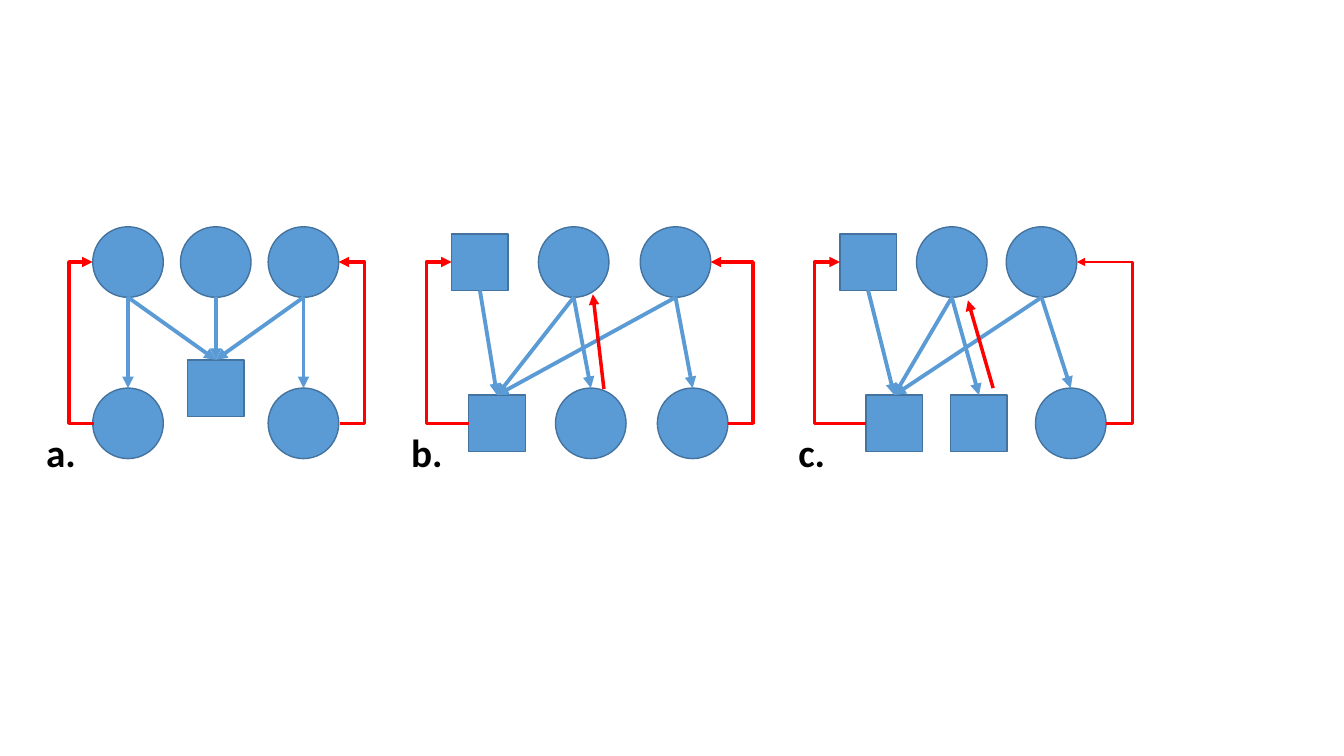
from dataclasses import dataclass
from lxml.etree import SubElement
from pptx import Presentation
from pptx.dml.color import RGBColor
from pptx.enum.shapes import MSO_CONNECTOR as Connector, MSO_SHAPE as Shape
from pptx.enum.text import MSO_AUTO_SIZE as AutoSize
from pptx.oxml.ns import qn
from pptx.util import Inches, Pt

BLUE, EDGE, RED, BLACK = "5B9BD5", "43739E", "FF0000", "000000"
SIZES = {"circle": 0.7, "square": 0.56}
FORMS = {"circle": Shape.OVAL, "square": Shape.RECTANGLE}
BACK_LINE = 2.5
STUB = 0.01


@dataclass
class Node:
    kind: str
    x: float
    y: float

    @property
    def half(self):
        return SIZES[self.kind] / 2


def color(value):
    return RGBColor.from_string(value)


def draw_node(page, node):
    size = SIZES[node.kind]
    shape = page.shapes.add_shape(
        FORMS[node.kind], Inches(node.x - node.half), Inches(node.y - node.half),
        Inches(size), Inches(size))
    shape.shadow.inherit = False
    shape.fill.solid()
    shape.fill.fore_color.rgb = color(BLUE)
    shape.line.color.rgb = color(EDGE)
    shape.line.width = Pt(1)


def draw_arrow(page, start, end, tint, weight, kind=Connector.STRAIGHT):
    arrow = page.shapes.add_connector(kind, *map(Inches, (*start, *end)))
    arrow.line.color.rgb = color(tint)
    arrow.line.width = Pt(weight)
    SubElement(arrow.line._get_or_add_ln(), qn("a:tailEnd"), type="triangle")
    SubElement(arrow._element.spPr, qn("a:effectLst"))
    return arrow


def draw_loop(page, lower, upper, side, bend, weight):
    start = lower.x + side * lower.half
    end = upper.x + side * upper.half
    if abs(start - end) < STUB:
        start = end + STUB
    arrow = draw_arrow(page, (start, lower.y), (end, upper.y), RED, weight, Connector.ELBOW)
    share = round((bend - start) / (end - start) * 100000)
    guides = arrow._element.spPr.find(qn("a:prstGeom")).get_or_add_avLst()
    SubElement(guides, qn("a:gd"), name="adj1", fmla=f"val {share}")


def draw_label(page, text, left, top, width):
    box = page.shapes.add_textbox(Inches(left), Inches(top), Inches(width), Inches(0.57))
    box.text_frame.word_wrap = False
    box.text_frame.auto_size = AutoSize.SHAPE_TO_FIT_TEXT
    run = box.text_frame.paragraphs[0].add_run()
    run.text = text
    run.font.name = "Calibri"
    run.font.size = Pt(28)
    run.font.bold = True
    run.font.color.rgb = color(BLACK)


def draw_panel(page, box, label, label_shift, label_width, upper, lower, links,
               feedback=None, right_weight=BACK_LINE):
    left, top, width, height = box
    upper = [Node(kind, left + x, top) for kind, x in upper]
    lower = [Node(kind, left + x, top + height - rise) for kind, x, rise in lower]
    for node in upper + lower:
        draw_node(page, node)
    for source, target in links:
        first, last = upper[source], lower[target]
        draw_arrow(page, (first.x, first.y + first.half),
                   (last.x, last.y - last.half), BLUE, 2.75)
    draw_loop(page, lower[0], upper[0], -1, left, BACK_LINE)
    draw_loop(page, lower[-1], upper[-1], 1, left + width, right_weight)
    if feedback:
        start, end = [(left + x, top + y) for x, y in feedback]
        draw_arrow(page, start, end, RED, BACK_LINE)
    draw_label(page, label, left + label_shift, top + height, label_width)


def main():
    deck = Presentation()
    deck.slide_width, deck.slide_height = Inches(13.33), Inches(7.5)
    page = deck.slides.add_slide(deck.slide_layouts[6])
    top, height = 2.6, 1.6
    crossing = [(0, 0), (1, 1), (1, 0), (2, 0), (2, 2)]

    draw_panel(
        page, (0.68, top, 2.94, height), "a.", -0.32, 0.5,
        [("circle", 0.59), ("circle", 1.46), ("circle", 2.33)],
        [("circle", 0.59, 0), ("square", 1.46, 0.35), ("circle", 2.33, 0)],
        [(1, 1), (0, 0), (0, 1), (2, 1), (2, 2)])
    draw_panel(
        page, (4.23, top, 3.24, height), "b.", -0.25, 0.53,
        [("square", 0.53), ("circle", 1.46), ("circle", 2.47)],
        [("square", 0.7, 0), ("circle", 1.63, 0), ("circle", 2.64, 0)],
        crossing, feedback=[(1.76, 1.26), (1.65, 0.32)])
    draw_panel(
        page, (8.08, top, 3.15, height), "c.", -0.26, 0.48,
        [("square", 0.53), ("circle", 1.36), ("circle", 2.25)],
        [("square", 0.79, 0), ("square", 1.63, 0), ("circle", 2.54, 0)],
        crossing, feedback=[(1.77, 1.25), (1.52, 0.38)], right_weight=2)
    deck.save("out.pptx")


if __name__ == "__main__":
    main()
